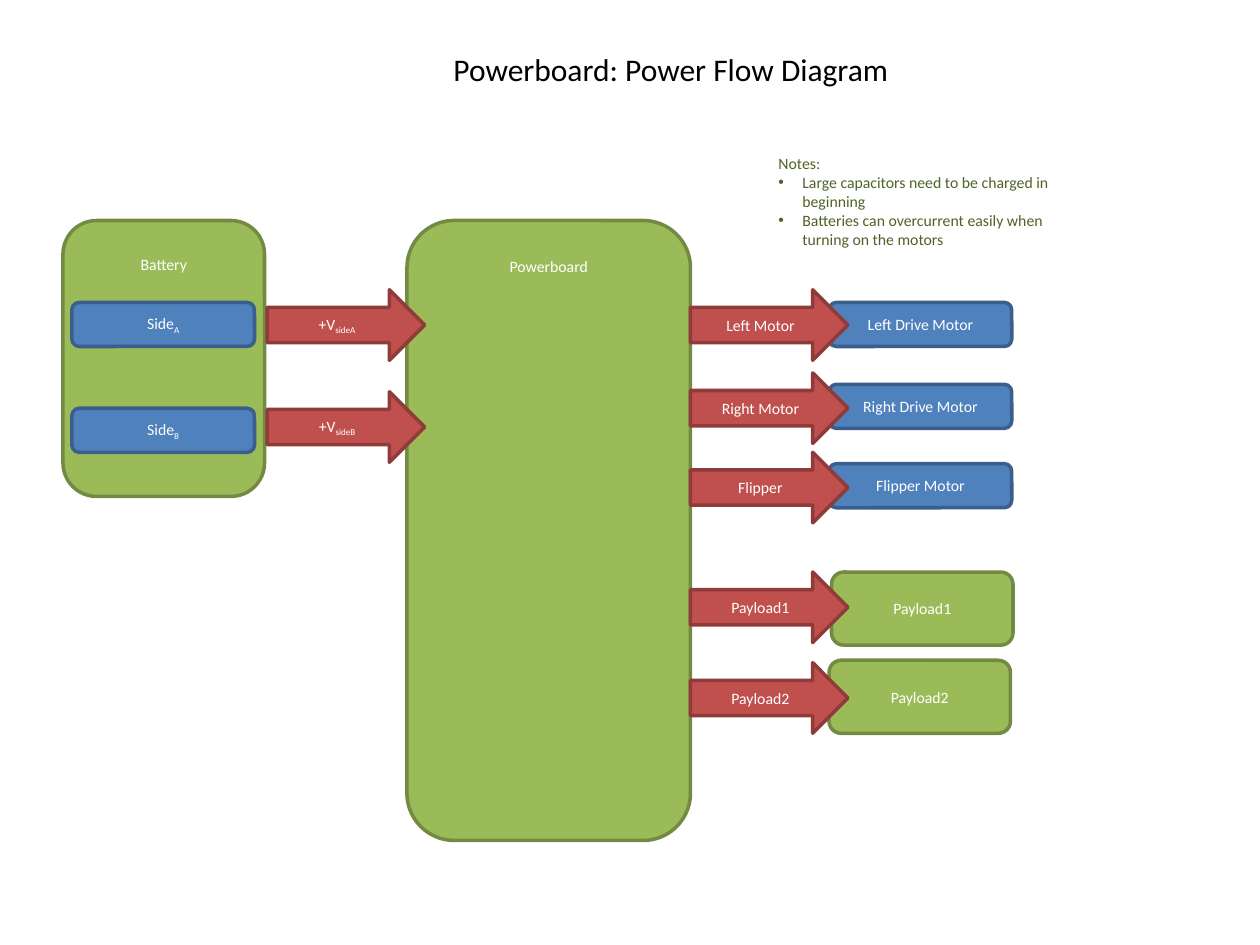
"""Build the powerboard power flow diagram slide."""
from lxml import etree
from pptx import Presentation
from pptx.dml.color import RGBColor
from pptx.enum.shapes import MSO_SHAPE
from pptx.enum.text import MSO_ANCHOR, MSO_AUTO_SIZE, PP_ALIGN
from pptx.oxml.ns import qn
from pptx.util import Inches, Pt

ROUNDED, ARROW = MSO_SHAPE.ROUNDED_RECTANGLE, MSO_SHAPE.RIGHT_ARROW
TOP, MIDDLE = MSO_ANCHOR.TOP, MSO_ANCHOR.MIDDLE
CENTER, FIT = PP_ALIGN.CENTER, MSO_AUTO_SIZE.SHAPE_TO_FIT_TEXT
GREEN, BLUE, RED = ("9BBB59", "738A42"), ("4F81BD", "3A5F8C"), ("C0504D", "8E3B39")
FONT, SMALL, INDENT = "Calibri", 9, 0.19

TITLE = "Powerboard: Power Flow Diagram"
NOTES = ["Notes:",
         "Large capacitors need to be charged in beginning",
         "Batteries can overcurrent easily when turning on the motors"]
PAYLOADS = [("Payload1", 6.6, 4.54, 4.54), ("Payload2", 6.58, 5.24, 5.26)]
MOTORS = [("Left Motor", "Left Drive Motor", 2.4, 2.3),
          ("Right Motor", "Right Drive Motor", 3.05, 2.96),
          ("Flipper", "Flipper Motor", 3.68, 3.59)]
SIDES = [("A", 2.4, 2.3), ("B", 3.24, 3.11)]
CONTAINERS = [("Powerboard", (3.23, 1.75, 2.25, 4.92), 0.18),
              ("Battery", (0.5, 1.75, 1.6, 2.19), 0.19)]
MOTOR_LEFT, SIDE_LEFT = 6.58, 0.57
OUTPUT_LEFT, INPUT_LEFT = 5.48, 2.12
UNIT_SIZE, PAYLOAD_SIZE, ARROW_SIZE = (1.45, 0.35), (1.44, 0.58), (1.25, 0.56)


def color(value):
    return RGBColor.from_string(value)


def style(span, size, ink):
    span.font.name, span.font.size = FONT, Pt(size)
    span.font.color.rgb = color(ink)


def add_block(kind, place, colors, label, subscript="", top_inset=None):
    block = page.shapes.add_shape(kind, *map(Inches, place))
    block.shadow.inherit = False
    block.fill.solid()
    block.fill.fore_color.rgb = color(colors[0])
    block.line.color.rgb = color(colors[1])
    block.line.width = Pt(2)
    frame = block.text_frame
    frame.word_wrap = True
    frame.vertical_anchor = MIDDLE
    if top_inset is not None:
        frame.vertical_anchor = TOP
        frame.margin_top = Inches(top_inset)
    para = frame.paragraphs[0]
    para.text = label
    para.alignment = CENTER
    if subscript:
        span = para.add_run()
        span.text = subscript
        span.font._element.set("baseline", "-25000")
    for span in para.runs:
        style(span, SMALL, "FFFFFF")


def add_text(place, lines, size, ink, wrap):
    box = page.shapes.add_textbox(*map(Inches, place))
    frame = box.text_frame
    frame.text = "\n".join(lines)
    frame.word_wrap = wrap
    frame.auto_size = FIT
    for para in frame.paragraphs:
        style(para.runs[0], size, ink)
    return frame


def add_bullet(para):
    properties = para._p.get_or_add_pPr()
    properties.set("marL", str(Inches(INDENT)))
    properties.set("indent", str(-Inches(INDENT)))
    etree.SubElement(properties, qn("a:buFont")).set("typeface", "Arial")
    etree.SubElement(properties, qn("a:buChar")).set("char", "•")


def add_arrow(left, top, label, subscript=""):
    add_block(ARROW, (left, top, *ARROW_SIZE), RED, label, subscript)


deck = Presentation()
deck.slide_width, deck.slide_height = Inches(10), Inches(7.5)
page = deck.slides.add_slide(deck.slide_layouts[6])

add_text((3.5, 0.35, 3.69, 0.4), [TITLE], 18, "000000", False)
notes = add_text((6.08, 1.17, 2.67, 0.86), NOTES, SMALL, "4F6228", True)
for para in notes.paragraphs[1:]:
    add_bullet(para)

for label, left, top, _ in PAYLOADS:
    add_block(ROUNDED, (left, top, *PAYLOAD_SIZE), GREEN, label)
for label, place, inset in CONTAINERS:
    add_block(ROUNDED, place, GREEN, label, top_inset=inset)
for output, motor, top, arrow_top in MOTORS:
    add_block(ROUNDED, (MOTOR_LEFT, top, *UNIT_SIZE), BLUE, motor)
    add_arrow(OUTPUT_LEFT, arrow_top, output)
for label, _, _, arrow_top in PAYLOADS:
    add_arrow(OUTPUT_LEFT, arrow_top, label)
for side, top, arrow_top in SIDES:
    add_block(ROUNDED, (SIDE_LEFT, top, *UNIT_SIZE), BLUE, "Side", side)
    add_arrow(INPUT_LEFT, arrow_top, "+V", "side" + side)

deck.save("out.pptx")
